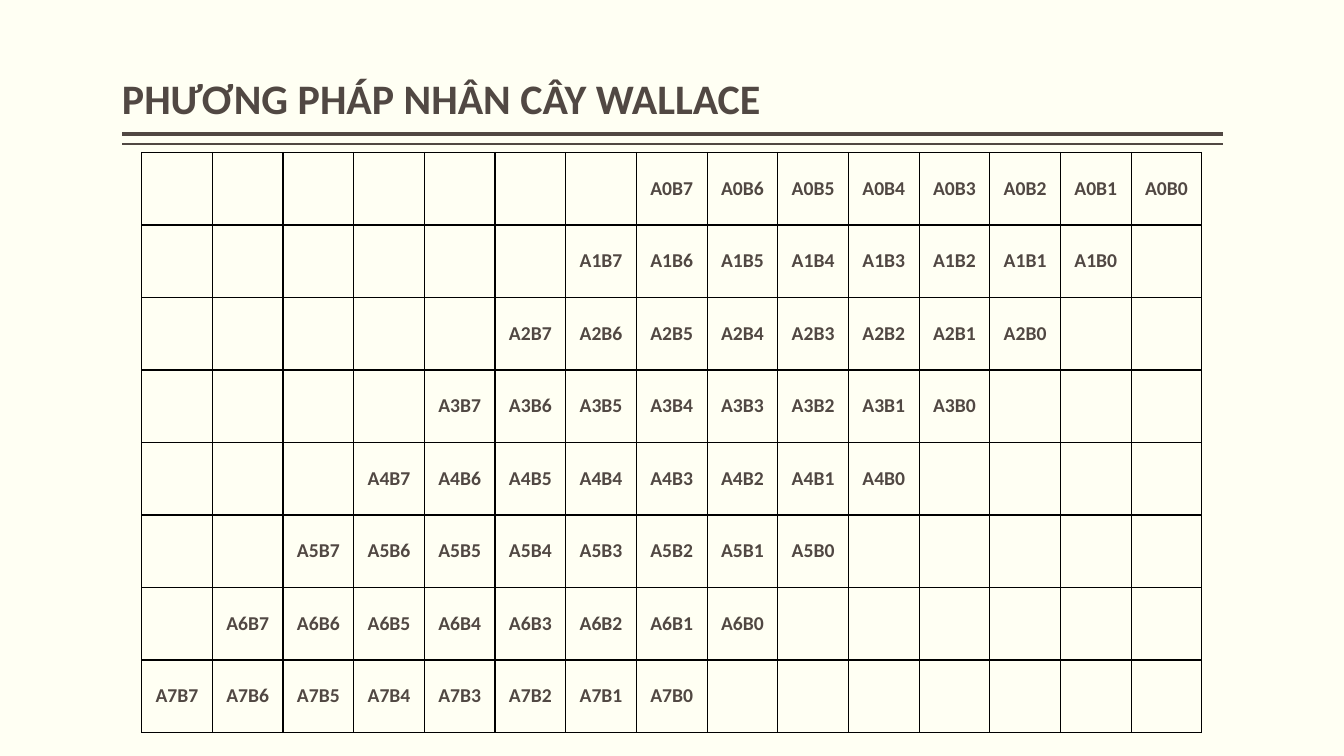
"""Build the slide showing the partial products of an 8-bit Wallace tree multiplier."""
from dataclasses import dataclass

from lxml.etree import SubElement
from pptx import Presentation
from pptx.dml.color import RGBColor
from pptx.enum.shapes import MSO_CONNECTOR
from pptx.enum.text import MSO_ANCHOR, PP_ALIGN
from pptx.oxml.ns import qn
from pptx.util import Pt

HEADING = "PHƯƠNG PHÁP NHÂN CÂY WALLACE"
BITS = 8
COLUMNS = 2 * BITS - 1
PRODUCTS = [(a, COLUMNS - 1 - a - b, f"A{a}B{b}")
            for a in range(BITS) for b in reversed(range(BITS))]


@dataclass(frozen=True)
class Theme:
    """Colours, font and sizes of the slide."""
    background: str = "FFFFF3"
    ink: str = "514843"
    grid: str = "000000"
    font: str = "Calibri"
    heading_size: float = 30
    product_size: float = 14
    grid_weight: float = 1


THEME = Theme()
SLIDE_SIZE = (960, 540)
HEADING_BOX = (87.12, 5.76, 786.24, 86.4)
RULES = [(95.76, 3), (102.96, 1)]
GRID_ORIGIN = (101.2, 108.9)
CELL_SIZE = (50.5, 51.8)


def style_text(frame, size):
    """Apply the theme font to every run in a text frame."""
    for paragraph in frame.paragraphs:
        for run in paragraph.runs:
            run.font.name = THEME.font
            run.font.size = Pt(size)
            run.font.bold = True
            run.font.color.rgb = RGBColor.from_string(THEME.ink)


def add_heading(slide):
    """Place the heading and the double rule beneath it."""
    left, top, width, height = HEADING_BOX
    frame = slide.shapes.add_textbox(Pt(left), Pt(top), Pt(width), Pt(height)).text_frame
    frame.word_wrap = True
    frame.vertical_anchor = MSO_ANCHOR.BOTTOM
    frame.margin_left = frame.margin_right = 0
    frame.text = HEADING
    frame.paragraphs[0].line_spacing = 0.9
    style_text(frame, THEME.heading_size)
    for y, weight in RULES:
        rule = slide.shapes.add_connector(
            MSO_CONNECTOR.STRAIGHT, Pt(left + width), Pt(y), Pt(left), Pt(y))
        rule.line.color.rgb = RGBColor.from_string(THEME.ink)
        rule.line.width = Pt(weight)
        SubElement(rule._element.spPr, qn("a:effectLst"))


def add_borders(cell):
    """Draw a thin line on all four sides of a cell."""
    properties = cell._tc.get_or_add_tcPr()
    for side in ("a:lnL", "a:lnR", "a:lnT", "a:lnB"):
        border = SubElement(properties, qn(side), w=str(Pt(THEME.grid_weight)))
        fill = SubElement(border, qn("a:solidFill"))
        SubElement(fill, qn("a:srgbClr"), val=THEME.grid)


def add_products(slide):
    """Place the grid, each row of products shifted one column to the left."""
    width, height = CELL_SIZE
    table = slide.shapes.add_table(
        BITS, COLUMNS, *map(Pt, GRID_ORIGIN), Pt(width * COLUMNS), Pt(height * BITS)).table
    table.first_row = table.horz_banding = False
    for column in table.columns:
        column.width = Pt(width)
    for row in table.rows:
        row.height = Pt(height)
    for cell in table.iter_cells():
        add_borders(cell)
        cell.fill.background()
        cell.vertical_anchor = MSO_ANCHOR.MIDDLE
    for row, column, product in PRODUCTS:
        frame = table.cell(row, column).text_frame
        frame.text = product
        frame.paragraphs[0].alignment = PP_ALIGN.CENTER
        style_text(frame, THEME.product_size)


def main():
    """Assemble and save the presentation."""
    deck = Presentation()
    deck.slide_width, deck.slide_height = map(Pt, SLIDE_SIZE)
    slide = deck.slides.add_slide(deck.slide_layouts[6])
    slide.background.fill.solid()
    slide.background.fill.fore_color.rgb = RGBColor.from_string(THEME.background)
    add_heading(slide)
    add_products(slide)
    deck.save("out.pptx")


if __name__ == "__main__":
    main()
